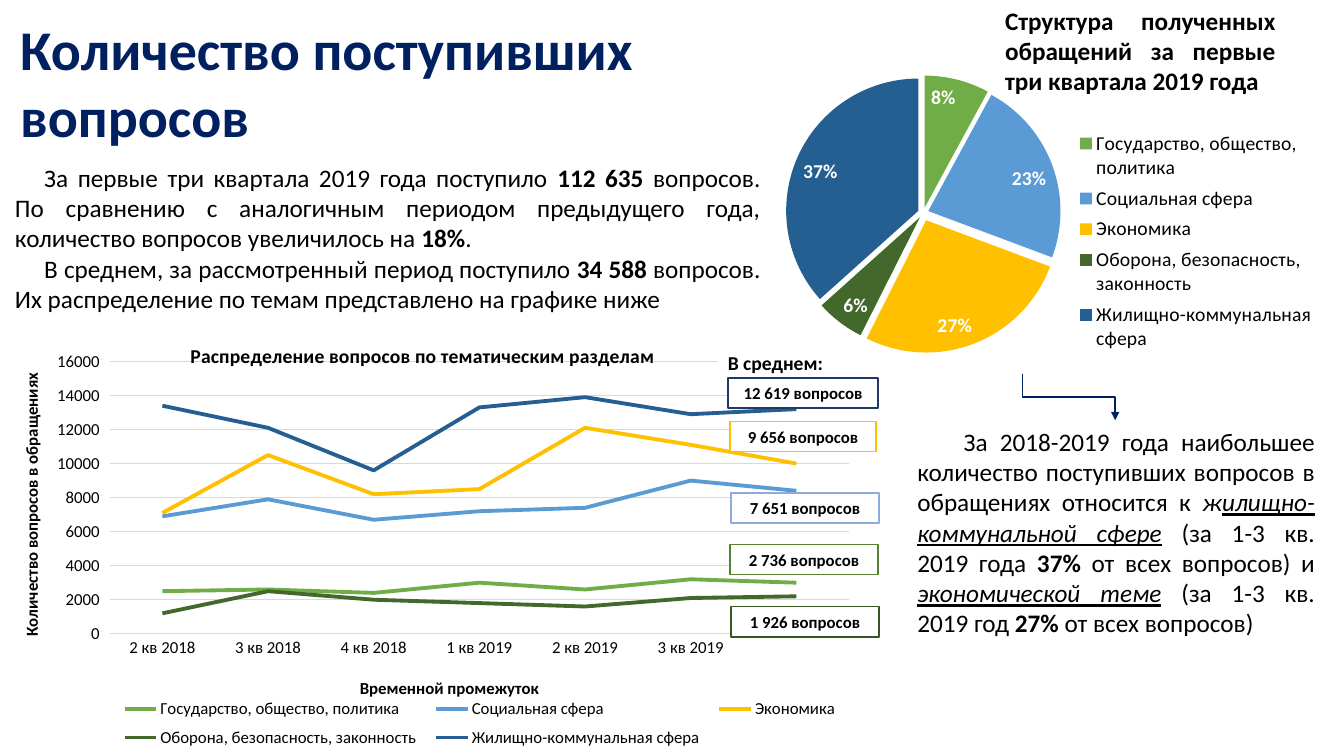
import pptx
import pptx.chart.data
import pptx.dml.color
import pptx.enum.chart
import pptx.enum.shapes
import pptx.enum.text
import pptx.oxml
import pptx.oxml.ns
import pptx.util

PX = 9144  # 100 px to the inch
FONT = "Calibri"
BLACK, WHITE, NAVY, GREY = "000000", "FFFFFF", "002060", "D9D9D9"

# Content: a run is (text, style letters b / i / u)
TITLE = "Количество поступивших вопросов"
SUMMARY = [
    [("За первые три квартала 2019 года поступило ", ""), ("112 635 ", "b"),
     ("вопросов. По сравнению с аналогичным периодом предыдущего года, "
      "количество вопросов увеличилось на ", ""), ("18%", "b"), (".", "")],
    [("В среднем, за рассмотренный период поступило ", ""), ("34 588 ", "b"),
     ("вопросов. Их распределение по темам представлено на графике ниже", "")],
]
PIE_TITLE = [[("Структура полученных обращений за первые три квартала 2019 года", "b")]]
CONCLUSION = [[
    ("За 2018-2019 года наибольшее количество поступивших вопросов в обращениях "
     "относится к ", ""), ("ж", "i"), ("илищно-коммунальной сфере", "iu"), (" ", "b"),
    ("(за 1-3 кв. 2019 года ", ""), ("37%", "b"), (" от всех вопросов) и ", ""),
    ("экономической теме", "iu"), (" ", "i"), ("(за 1-3 кв. 2019 год ", ""),
    ("27%", "b"), (" от всех вопросов)", ""),
]]
LINE_TITLE = "Распределение вопросов по тематическим разделам"
TIME_TITLE = "Временной промежуток"
COUNT_TITLE = "Количество вопросов в обращениях"
QUARTERS = ["2 кв 2018", "3 кв 2018", "4 кв 2018", "1 кв 2019", "2 кв 2019", "3 кв 2019", ""]
# Topic, colour, share, slice offset, questions by quarter
TOPICS = [
    ("Государство, общество, политика", "70AD47", 8, 4,
     (2500, 2600, 2400, 3000, 2600, 3200, 3000)),
    ("Социальная сфера", "5B9BD5", 23, 4, (6900, 7900, 6700, 7200, 7400, 9000, 8400)),
    ("Экономика", "FFC000", 27, 6, (7100, 10500, 8200, 8500, 12100, 11100, 10000)),
    ("Оборона, безопасность, законность", "43682B", 6, 4,
     (1200, 2500, 2000, 1800, 1600, 2100, 2200)),
    ("Жилищно-коммунальная сфера", "255E91", 37, 4,
     (13400, 12100, 9600, 13300, 13900, 12900, 13200)),
]
AVERAGE_TITLE = "В среднем:"
# Text, outline, left, top, width
AVERAGES = [
    ("9 656 вопросов", "FFC000", 724, 418, 145),
    ("2 736 вопросов", "548235", 724, 540, 147),
    ("1 926 вопросов", "385723", 725, 602, 147),
    ("7 651 вопросов", "8FAADC", 725, 489, 147),
    ("12 619 вопросов", "203864", 722, 375, 149),
]

presentation = pptx.Presentation()
presentation.slide_width, presentation.slide_height = 1333 * PX, 750 * PX
slide = presentation.slides.add_slide(presentation.slide_layouts[5])
ALIGN = pptx.enum.text.PP_ALIGN


def color(value):
    return pptx.dml.color.RGBColor.from_string(value)


def box(*lengths):
    return [length * PX for length in lengths]


def set_font(font, size, fill=BLACK, bold=False):
    font.name, font.size, font.bold = FONT, pptx.util.Pt(size), bold
    font.color.rgb = color(fill)


def set_line(line, fill, width=1):
    line.color.rgb = color(fill)
    line.width = pptx.util.Pt(width)


def write(frame, paragraphs, size=18, fill=BLACK, align=ALIGN.JUSTIFY, indent=0):
    frame.word_wrap = True
    for number, runs in enumerate(paragraphs):
        paragraph = frame.add_paragraph() if number else frame.paragraphs[0]
        paragraph.alignment, paragraph.line_spacing = align, 1.0
        if indent:
            paragraph._p.get_or_add_pPr().set("indent", str(indent * PX))
        for text, style in runs:
            run = paragraph.add_run()
            run.text = text
            set_font(run.font, size, fill, "b" in style)
            run.font.italic, run.font.underline = "i" in style, "u" in style


def add_text(place, paragraphs, **style):
    write(slide.shapes.add_textbox(*box(*place)).text_frame, paragraphs, **style)


def add_panel(place, text, size, outline=None, align=ALIGN.CENTER):
    shape = slide.shapes.add_shape(pptx.enum.shapes.MSO_SHAPE.RECTANGLE, *box(*place))
    shape.shadow.inherit = False
    shape.fill.solid()
    shape.fill.fore_color.rgb = color(WHITE)
    if outline:
        set_line(shape.line, outline)
    else:
        shape.line.fill.background()
    write(shape.text_frame, [[(text, "b")]], size=size, align=align)


def element(tag, content="", **attributes):
    values = "".join(f' {key}="{value}"' for key, value in attributes.items())
    names = pptx.oxml.ns.nsdecls("a", "c")
    return pptx.oxml.parse_xml(f"<{tag} {names}{values}>{content}</{tag}>")


def arrange(part, index, inner=False, **fractions):
    """Give a chart part a fixed place, as fractions of the chart."""
    for old in part.xpath("c:layout"):
        part.remove(old)
    content = '<c:layoutTarget val="inner"/>' if inner else ""
    content += '<c:xMode val="edge"/><c:yMode val="edge"/>'
    content += "".join(f'<c:{key} val="{value}"/>' for key, value in fractions.items())
    part.insert(index, element("c:layout", f"<c:manualLayout>{content}</c:manualLayout>"))


def write_chart_title(title, text, size, x, y):
    title.text_frame.text = text
    set_font(title.text_frame.paragraphs[0].runs[0].font, size, bold=True)
    arrange(title._element, 1, x=x, y=y)


def add_chart(kind, place, categories, series, size, plot, legend, legend_position):
    data = pptx.chart.data.CategoryChartData()
    data.categories = categories
    for name, values in series:
        data.add_series(name, values)
    chart = slide.shapes.add_chart(kind, *box(*place), data).chart
    set_font(chart.font, size)
    chart._chartSpace.chart.addnext(
        element("c:spPr", "<a:noFill/><a:ln><a:noFill/></a:ln>"))
    chart.plots[0].vary_by_categories = False
    chart.has_legend = True
    chart.legend.position = legend_position
    chart.legend.include_in_layout = False
    set_font(chart.legend.font, size)
    arrange(chart._chartSpace.chart.plotArea, 0, inner=True, **plot)
    arrange(chart.legend._element, 1, **legend)
    return chart


CHART = pptx.enum.chart
# Line chart
line_chart = add_chart(
    CHART.XL_CHART_TYPE.LINE, (0, 319, 843, 431), QUARTERS,
    [(topic[0], topic[4]) for topic in TOPICS], 12,
    dict(x=0.129, y=0.092, w=0.871, h=0.627), dict(x=0.13, y=0.85, w=0.87, h=0.15),
    CHART.XL_LEGEND_POSITION.BOTTOM)
line_chart.has_title = True
write_chart_title(line_chart.chart_title, LINE_TITLE, 14, 0.22, 0.04)
for series, topic in zip(line_chart.plots[0].series, TOPICS):
    series.smooth = False
    set_line(series.format.line, topic[1], 2.75)
time_axis, count_axis = line_chart.category_axis, line_chart.value_axis
write_chart_title(time_axis.axis_title, TIME_TITLE, 12, 0.42, 0.81)
write_chart_title(count_axis.axis_title, COUNT_TITLE, 12, 0.02, 0.11)
turned = count_axis.axis_title.text_frame._txBody.bodyPr
turned.set("rot", "-5400000")
turned.set("vert", "horz")
for axis in (time_axis, count_axis):
    set_font(axis.tick_labels.font, 12)
time_axis.major_tick_mark = CHART.XL_TICK_MARK.NONE
set_line(time_axis.format.line, GREY)
count_axis.minimum_scale, count_axis.maximum_scale, count_axis.major_unit = 0, 16000, 2000
count_axis.format.line.fill.background()
set_line(count_axis.major_gridlines.format.line, GREY, 0.75)

# Title and texts
title = slide.shapes.title
title.left, title.top, title.width, title.height = box(10, 9, 724, 145)
title.text_frame.vertical_anchor = pptx.enum.text.MSO_ANCHOR.TOP
title.text_frame.auto_size = pptx.enum.text.MSO_AUTO_SIZE.NONE
write(title.text_frame, [[(TITLE, "b")]], size=40, fill=NAVY, align=ALIGN.LEFT)
add_text((5, 156, 759, 162), SUMMARY, indent=29)
add_text((987, 0, 288, 101), PIE_TITLE)
add_text((900, 418, 414, 222), CONCLUSION, indent=46)

# Arrow from the pie to the conclusion: an elbow turned to start downwards
start_x, start_y, end_x, end_y = 1014, 371, 1107, 418
middle_x, middle_y = (start_x + end_x) // 2, (start_y + end_y) // 2
half_width, half_height = (end_y - start_y) // 2, (end_x - start_x) // 2
arrow = slide.shapes.add_connector(
    pptx.enum.shapes.MSO_CONNECTOR.ELBOW,
    *box(middle_x - half_width, middle_y - half_height,
         middle_x + half_width, middle_y + half_height))
set_line(arrow.line, NAVY)
arrow.line._get_or_add_ln().append(element("a:tailEnd", type="triangle"))
arrow._element.spPr.append(element("a:effectLst"))
arrow._element.spPr.xfrm.set("rot", "16200000")
arrow._element.spPr.xfrm.set("flipH", "1")

add_panel((712, 343, 141, 34), AVERAGE_TITLE, 14, align=ALIGN.LEFT)

# Pie chart
pie_chart = add_chart(
    CHART.XL_CHART_TYPE.PIE, (694, 32, 639, 340), [topic[0] for topic in TOPICS],
    [("Доля", [topic[2] for topic in TOPICS])], 14,
    dict(x=0.115, y=0.058, w=0.464, h=0.939), dict(x=0.56, y=0.27, w=0.42, h=0.68),
    CHART.XL_LEGEND_POSITION.RIGHT)
pie_chart.has_title = False
pie = pie_chart.plots[0].series[0]
for number, (_, fill, _, offset, _) in enumerate(TOPICS):
    point = pie.points[number]
    point.format.fill.solid()
    point.format.fill.fore_color.rgb = color(fill)
    point_element = pie._element.xpath("c:dPt")[number]
    point_element.xpath("c:spPr")[0].addprevious(element("c:explosion", val=offset))
pie._element.xpath("c:dPt")[0].addprevious(element("c:explosion", val=13))
labels = pie.data_labels
labels.show_percentage, labels.show_value = True, False
labels.number_format, labels.number_format_is_linked = "0%", False
labels.position = CHART.XL_LABEL_POSITION.INSIDE_END
set_font(labels.font, 14, WHITE, bold=True)

# Average boxes
for text, outline, left, top, width in AVERAGES:
    add_panel((left, top, width, 30), text, 12, outline)

presentation.save("out.pptx")
